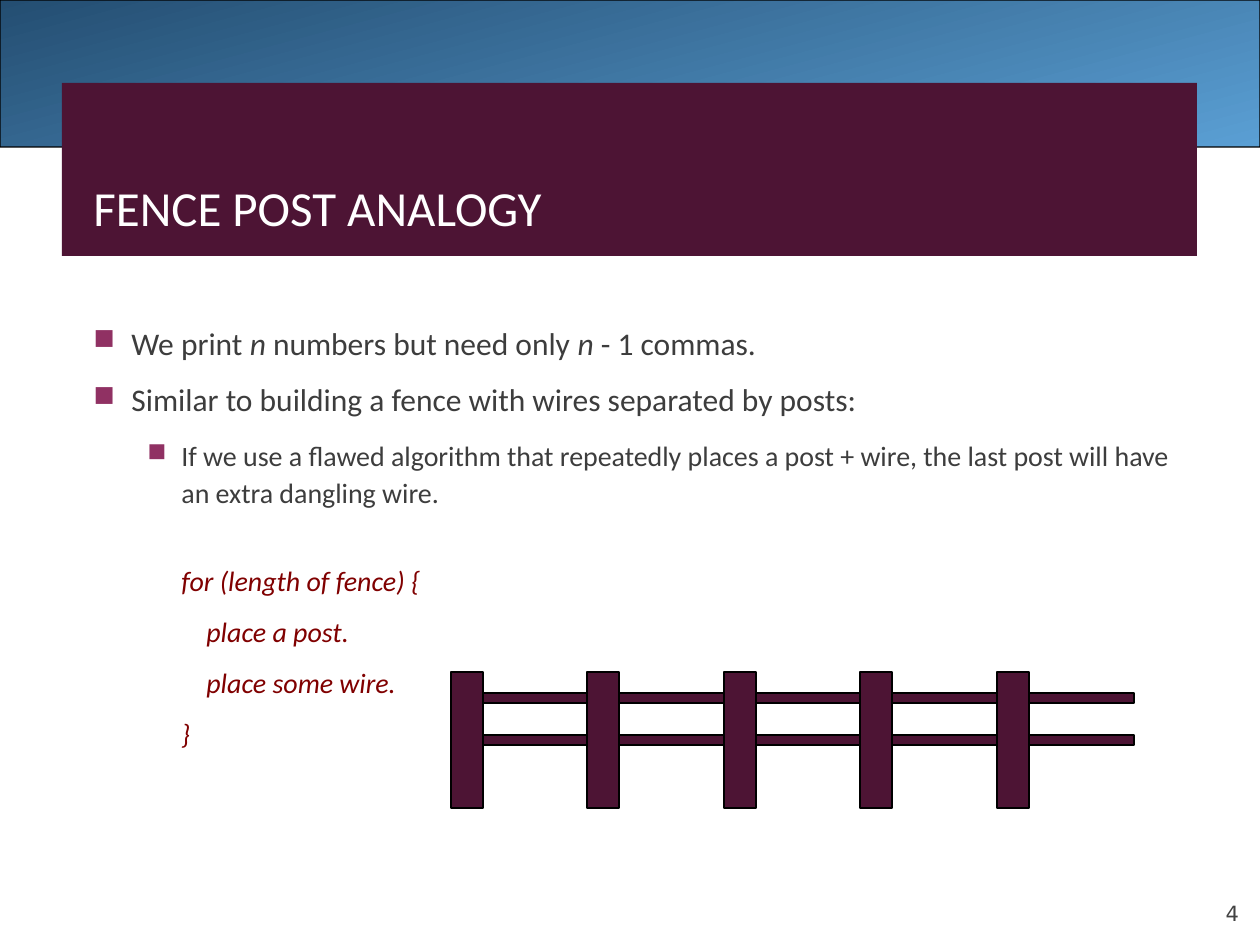
from lxml.etree import SubElement
from pptx import Presentation
from pptx.dml.color import RGBColor
from pptx.enum.shapes import MSO_SHAPE as Shape
from pptx.enum.text import MSO_ANCHOR as Anchor, PP_ALIGN as Align
from pptx.oxml.ns import qn
from pptx.util import Pt

PX = 914400 / 126
WINE = "4D1434"

deck = Presentation()
deck.slide_width, deck.slide_height = round(1260 * PX), round(945 * PX)
slide = deck.slides.add_slide(deck.slide_layouts[6])
shapes = slide.shapes
color = RGBColor.from_string


def block(x, y, w, h, fill=WINE, edge="000000", kind=Shape.RECTANGLE):
    box = shapes.add_shape(kind, *[round(n * PX) for n in (x, y, w, h)])
    box.shadow.inherit = False
    box.fill.solid()
    box.fill.fore_color.rgb = color(fill)
    if edge:
        box.line.color.rgb = color(edge)
        box.line.width = Pt(0.75)
    else:
        box.line.fill.background()
    return box


def label(x, y, w, h, text, size, font, ink, anchor):
    box = shapes.add_textbox(*[round(n * PX) for n in (x, y, w, h)])
    frame = box.text_frame
    frame.word_wrap = True
    frame.vertical_anchor = anchor
    frame.text = text
    for para in frame.paragraphs:
        for run in para.runs:
            run.font.size = Pt(size)
            run.font.name = font
            run.font.color.rgb = color(ink)
    return frame


band = block(0, 0, 1260, 147, kind=Shape.ROUNDED_RECTANGLE)
band.adjustments[0] = 0.001
band.fill.gradient()
band.fill.gradient_angle = 285
for stop, tint in zip(band.fill.gradient_stops, ("244E72", "5A9FD4")):
    stop.color.rgb = color(tint)

page = label(1134, 876, 105, 50, "4", 12, "DejaVu Sans", "424242", Anchor.BOTTOM)
page.margin_left = page.margin_right = page.margin_top = page.margin_bottom = 0
page.paragraphs[0].alignment = Align.RIGHT

block(62, 83, 1135, 173, edge=None)
label(81, 95, 1101, 148, "FENCE POST ANALOGY", 28, "Calibri", "FFFFFF", Anchor.BOTTOM)

lines = [
    ("We print |n| numbers but need only |n| - 1 commas.", 18, 38, 38, 0),
    ("Similar to building a fence with wires separated by posts:", 18, 38, 38, 4.5),
    ("If we use a flawed algorithm that repeatedly places a post + wire, "
     "the last post will have an extra dangling wire.", 16, 88, 34, 4),
    ("for (length of fence) {", 16, 88, 0, 25),
    ("place a post.", 16, 113, 0, 4),
    ("place some wire.", 16, 113, 0, 4),
    ("}", 16, 88, 0, 4),
]
body = label(81, 318, 1101, 490, "", 18, "Calibri", "3D3D3D", Anchor.TOP)
for i, (text, size, left, hang, before) in enumerate(lines):
    para = body.paragraphs[0] if i == 0 else body.add_paragraph()
    para.space_before, para.space_after = Pt(before), Pt(6)
    if i == 2:
        para.line_spacing = 1.1
    for j, part in enumerate(text.split("|")):
        run = para.add_run()
        run.text = part
        run.font.size = Pt(size)
        run.font.name = "Calibri"
        run.font.italic = not hang or j % 2 == 1
        run.font.color.rgb = color("3D3D3D" if hang else "800000")
    props = para._p.get_or_add_pPr()
    props.set("marL", str(round(left * PX)))
    props.set("indent", str(round(-hang * PX)))
    if hang:
        tint = SubElement(props, qn("a:buClr"))
        SubElement(tint, qn("a:srgbClr"), val="903163")
        SubElement(props, qn("a:buSzPct"), val="92000")
        SubElement(props, qn("a:buChar"), char="■")

for i in range(5):
    x = 451 + i * 273 // 2
    block(x, 672, 32, 136)
    for y in (693, 735):
        block(x + 32, y, 105, 10)

deck.save("out.pptx")
